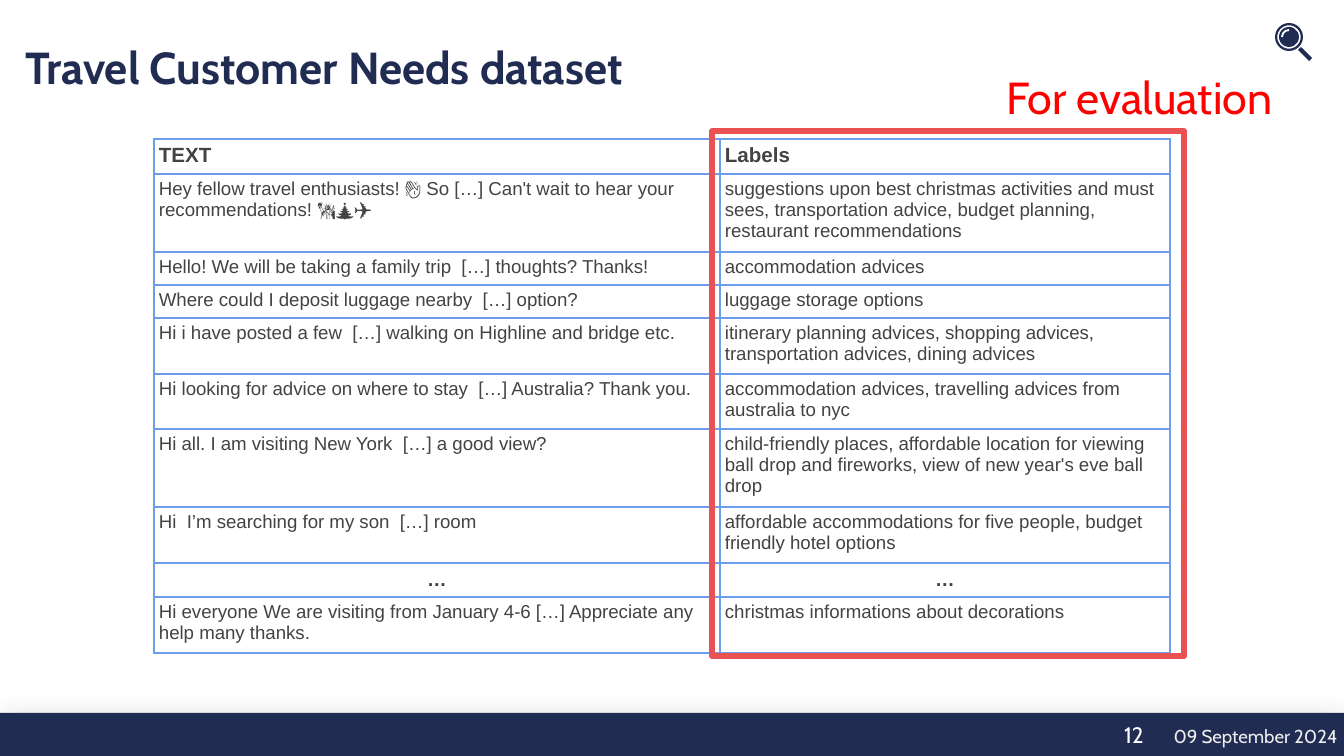
import pptx
import pptx.util
import pptx.dml.color
import pptx.enum.shapes
import pptx.enum.text
import pptx.oxml

RGB = pptx.dml.color.RGBColor
SHAPE = pptx.enum.shapes.MSO_SHAPE
ALIGN = pptx.enum.text.PP_ALIGN
ANCHOR = pptx.enum.text.MSO_ANCHOR
Pt = pptx.util.Pt

NAVY = RGB(0x21, 0x2C, 0x52)
WHITE = RGB(0xFF, 0xFF, 0xFF)
PALE = RGB(0xEE, 0xEE, 0xEE)
GREY = RGB(0x43, 0x43, 0x43)
BLUE = RGB(0x6D, 0x9E, 0xEB)
CORAL = RGB(0xEA, 0x51, 0x53)
RED = RGB(0xFF, 0x00, 0x00)

TITLE = "Travel Customer Needs dataset"
NOTE = "For evaluation"
PAGE = "12"
DATE = "09 September 2024"

# height in px, text, labels
ROWS = [
    (35, "TEXT", "Labels"),
    (78, "Hey fellow travel enthusiasts! 👋 So […] Can't wait to hear your "
         "recommendations! 🗽🎄✈️",
     "suggestions upon best christmas activities and must sees, "
     "transportation advice, budget planning, restaurant recommendations"),
    (33, "Hello! We will be taking a family trip  […] thoughts? Thanks!",
     "accommodation advices"),
    (33, "Where could I deposit luggage nearby  […] option?",
     "luggage storage options"),
    (56, "Hi i have posted a few  […] walking on Highline and bridge etc.",
     "itinerary planning advices, shopping advices, transportation advices, "
     "dining advices"),
    (55, "Hi looking for advice on where to stay  […] Australia? Thank you.",
     "accommodation advices, travelling advices from australia to nyc"),
    (78, "Hi all. I am visiting New York  […] a good view?",
     "child-friendly places, affordable location for viewing ball drop and "
     "fireworks, view of new year's eve ball drop"),
    (56, "Hi  I’m searching for my son  […] room",
     "affordable accommodations for five people, budget friendly hotel options"),
    (34, "…", "…"),
    (56, "Hi everyone We are visiting from January 4-6 […] Appreciate any help "
         "many thanks.",
     "christmas informations about decorations"),
]
COLS = [566, 450]
HANDLE = [(1301, 47), (1298, 50), (1309, 61), (1312, 58)]

NS = 'xmlns:a="http://schemas.openxmlformats.org/drawingml/2006/main"'
SHADOW = (f'<a:outerShdw {NS} blurRad="{Pt(16.9)}" dist="{Pt(3.8)}" '
          'dir="5400000" algn="t" rotWithShape="0"><a:srgbClr val="000000">'
          '<a:alpha val="20000"/></a:srgbClr></a:outerShdw>')


def px(*nums):
    """Turn px into EMU."""
    return [round(n * 914400 / 134.4) for n in nums]


def style(par, size, color, font="Cabin", bold=False, align=ALIGN.LEFT):
    par.alignment = align
    face = par.font
    face.name, face.size, face.bold = font, Pt(size), bold
    face.color.rgb = color


def write(shape, text, size, color, anchor=ANCHOR.MIDDLE, **look):
    frame = shape.text_frame
    frame.word_wrap = True
    frame.auto_size = pptx.enum.text.MSO_AUTO_SIZE.NONE
    frame.vertical_anchor = anchor
    frame.text = text
    style(frame.paragraphs[0], size, color, **look)
    return frame


def paint(shape, fill=None, line=None, width=1):
    shape.shadow.inherit = False
    if fill is None:
        shape.fill.background()
    else:
        shape.fill.solid()
        shape.fill.fore_color.rgb = fill
    if line is None:
        shape.line.fill.background()
    else:
        shape.line.color.rgb = line
        shape.line.width = Pt(width)
    return shape


def border(cell):
    props = cell._tc.get_or_add_tcPr()
    for spot, side in enumerate(("lnL", "lnR", "lnT", "lnB")):
        props.insert(spot, pptx.oxml.parse_xml(
            f'<a:{side} {NS} w="{Pt(1)}"><a:solidFill><a:srgbClr val="{BLUE}"/>'
            f'</a:solidFill></a:{side}>'))


deck = pptx.Presentation()
deck.slide_width, deck.slide_height = px(1344, 756)
slide = deck.slides.add_slide(deck.slide_layouts[5])
shapes = slide.shapes

# Footer
bar = paint(shapes.add_shape(SHAPE.RECTANGLE, *px(0, 713, 1344, 43)), NAVY)
bar._element.spPr.find(pptx.oxml.ns.qn("a:effectLst")).append(
    pptx.oxml.parse_xml(SHADOW))
write(shapes.add_textbox(*px(1152, 718, 207, 36)), DATE, 10, PALE,
      anchor=ANCHOR.TOP, align=ALIGN.CENTER)
page = write(shapes.add_textbox(*px(1101, 713, 74, 43)), PAGE, 12, WHITE)
page.margin_left, = px(23)

# Title
title = shapes.title
title.left, title.top, title.width, title.height = px(12, 8, 804, 118)
write(title, TITLE, 24, NAVY, bold=True)

# Magnifier
ring = paint(shapes.add_shape(SHAPE.DONUT, *px(1275, 23, 28, 28)), NAVY)
ring.adjustments[0] = 0.08
paint(shapes.add_shape(SHAPE.OVAL, *px(1279, 27, 20, 20)), NAVY)
glint = paint(shapes.add_shape(SHAPE.ARC, *px(1282, 30, 14, 14)), None, WHITE)
glint.adjustments[0], glint.adjustments[1] = 108, 162
pen = shapes.build_freeform(*px(*HANDLE[0]), scale=1.0)
pen.add_line_segments([px(*dot) for dot in HANDLE[1:]], close=True)
paint(pen.convert_to_shape(), NAVY)

# Table
high = sum(row[0] for row in ROWS)
table = shapes.add_table(len(ROWS), len(COLS),
                         *px(154, 139, sum(COLS), high)).table
table.first_row = table.horz_banding = False
for col, wide in zip(table.columns, COLS):
    col.width, = px(wide)
for i, (tall, *texts) in enumerate(ROWS):
    table.rows[i].height, = px(tall)
    gap = texts[0] == "…"
    size = 11 if i == 0 else 10.5 if gap else 10
    for j, text in enumerate(texts):
        cell = table.cell(i, j)
        cell.text = text
        cell.fill.background()
        cell.margin_left, cell.margin_right = px(5, 5)
        cell.margin_top, cell.margin_bottom = px(5, 5)
        cell.vertical_anchor = ANCHOR.MIDDLE if gap else ANCHOR.TOP
        style(cell.text_frame.paragraphs[0], size, GREY, "Arial",
              i == 0 or gap, ALIGN.CENTER if gap else ALIGN.LEFT)
        border(cell)

# Highlight of the labels
paint(shapes.add_shape(SHAPE.RECTANGLE, *px(712, 131, 472, 525)),
      None, CORAL, 3)
write(shapes.add_textbox(*px(993, 38, 382, 118)), NOTE, 24, RED)

deck.save("out.pptx")
